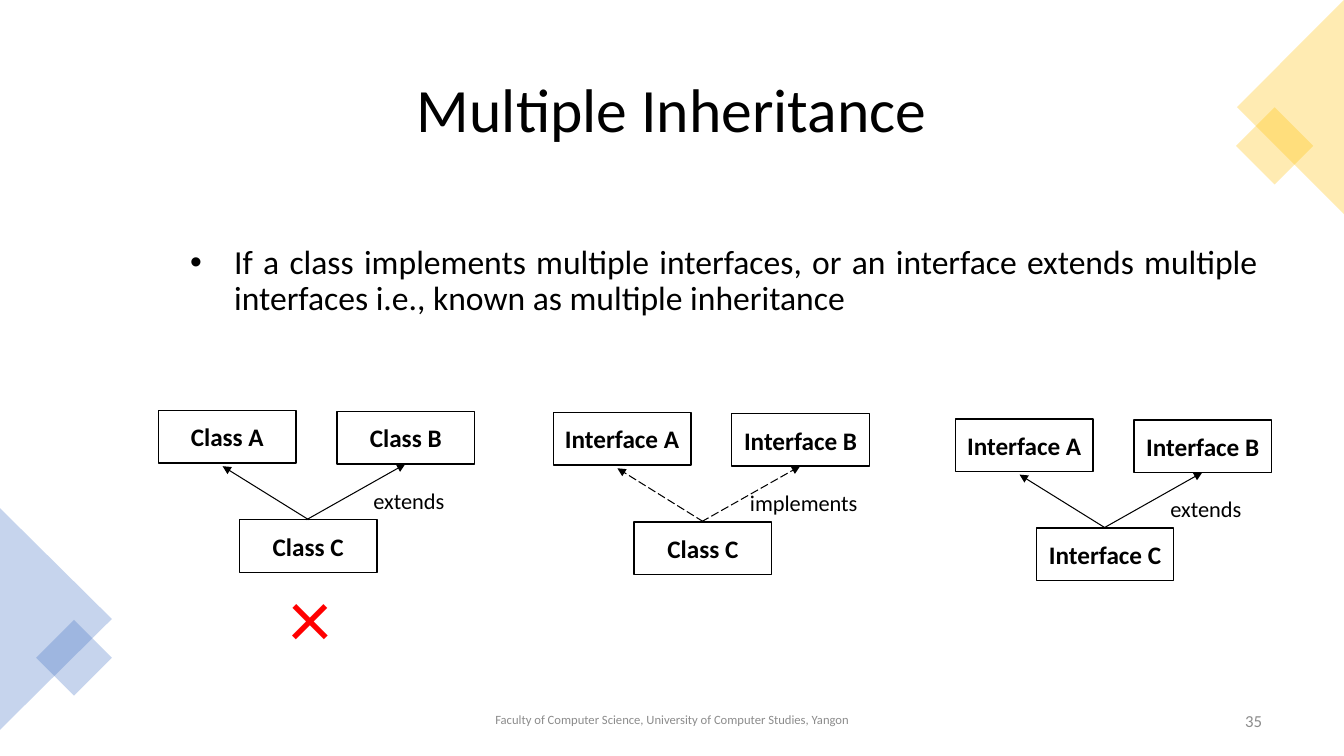
from lxml import etree
from pptx import Presentation
from pptx.dml.color import RGBColor
from pptx.enum.dml import MSO_LINE
from pptx.enum.shapes import MSO_CONNECTOR, MSO_SHAPE
from pptx.enum.text import MSO_ANCHOR, MSO_AUTO_SIZE, PP_ALIGN
from pptx.oxml.ns import qn
from pptx.util import Pt

TRIANGLE, RECTANGLE = MSO_SHAPE.ISOSCELES_TRIANGLE, MSO_SHAPE.RECTANGLE
LEFT, CENTER, RIGHT, JUSTIFY = PP_ALIGN.LEFT, PP_ALIGN.CENTER, PP_ALIGN.RIGHT, PP_ALIGN.JUSTIFY
TOP, MIDDLE = MSO_ANCHOR.TOP, MSO_ANCHOR.MIDDLE
SOLID, DASHED = MSO_LINE.SOLID, MSO_LINE.LONG_DASH

PX = 9525
FONT = "Calibri"
COLORS = {"ink": "000000", "muted": "8C8C8C", "cross": "FF0000",
          "blue": "4472C4", "yellow": "FFC000"}

TITLE = "Multiple Inheritance"
TITLE_AREA = (88, 38, 1104, 139)
CORNERS = [
    (TRIANGLE, (-53, 536, 212, 107), 90, "blue"),
    (RECTANGLE, (45, 601, 51, 51), 45, "blue"),
    (RECTANGLE, (1188, 113, 52, 52), 45, "yellow"),
    (TRIANGLE, (1127, 51, 204, 102), 270, "yellow"),
]
TEXTS = [
    ("If a class implements multiple interfaces, or an interface extends multiple "
     "interfaces i.e., known as multiple inheritance", (171, 229, 1037, 131),
     dict(size=24, align=JUSTIFY, spacing=0.9, bullet=True)),
    ("×", (266, 533, 70, 107), dict(size=60, color="cross")),
    ("Faculty of Computer Science, University of Computer Studies, Yangon",
     (424, 667, 432, 38),
     dict(size=9, color="muted", align=CENTER, anchor=MIDDLE, spacing=0.9)),
    ("35", (924, 667, 288, 38),
     dict(size=12, color="muted", align=RIGHT, anchor=MIDDLE)),
]
DIAGRAMS = [
    ((151, 391), ("Class A", "Class B", "Class C"), "extends", SOLID),
    ((527, 393), ("Interface A", "Interface B", "Class C"), "implements", DASHED),
    ((910, 399), ("Interface A", "Interface B", "Interface C"), "extends", SOLID),
]
NODE_SIZE = (131, 50)
NODE_OFFSETS = [(0, 0), (170, 1), (77, 104)]
RELATION_OFFSET, RELATION_SIZE = (174, 68), (129, 36)
ARROWS = [((143, 104), (61, 53)), ((141, 104), (235, 51))]
BULLET_INDENT = 42


def emu(lengths):
    return [length * PX for length in lengths]


def shifted(origin, offset):
    return origin[0] + offset[0], origin[1] + offset[1]


def rgb(name):
    return RGBColor.from_string(COLORS[name])


def write(shape, text, size=18, color="ink", bold=False, align=LEFT,
          anchor=TOP, spacing=None, bullet=False, side_margin=10):
    frame = shape.text_frame
    frame.word_wrap = True
    frame.auto_size = MSO_AUTO_SIZE.NONE
    frame.vertical_anchor = anchor
    frame.margin_left = frame.margin_right = side_margin * PX
    frame.text = text
    paragraph = frame.paragraphs[0]
    if bullet:
        properties = paragraph._p.get_or_add_pPr()
        properties.set("marL", str(BULLET_INDENT * PX))
        properties.set("indent", str(-BULLET_INDENT * PX))
        etree.SubElement(properties, qn("a:buFont"), typeface="Arial")
        etree.SubElement(properties, qn("a:buChar"), char="•")
    paragraph.alignment = align
    if spacing:
        paragraph.line_spacing = spacing
    font = paragraph.runs[0].font
    font.name, font.size, font.bold = FONT, Pt(size), bold
    font.color.rgb = rgb(color)


def add_text(slide, text, area, **style):
    write(slide.shapes.add_textbox(*emu(area)), text, **style)


def add_corner(slide, kind, area, rotation, color):
    corner = slide.shapes.add_shape(kind, *emu(area))
    corner.shadow.inherit = False
    corner.rotation = rotation
    corner.fill.solid()
    corner.fill.fore_color.rgb = rgb(color)
    tint = corner.fill._xPr.find(qn("a:solidFill"))[0]
    etree.SubElement(tint, qn("a:alpha"), val="30000")
    corner.line.fill.background()


def add_node(slide, text, position):
    node = slide.shapes.add_shape(RECTANGLE, *emu(position + NODE_SIZE))
    node.shadow.inherit = False
    node.fill.background()
    node.line.color.rgb = rgb("ink")
    node.line.width = Pt(1)
    write(node, text, bold=True, align=CENTER, anchor=MIDDLE, side_margin=0)


def add_arrow(slide, start, end, dash):
    arrow = slide.shapes.add_connector(MSO_CONNECTOR.STRAIGHT, *emu(start + end))
    arrow.line.color.rgb = rgb("ink")
    arrow.line.width = Pt(0.75)
    arrow.line.dash_style = dash
    etree.SubElement(arrow.line._get_or_add_ln(), qn("a:tailEnd"), type="triangle")
    etree.SubElement(arrow._element.spPr, qn("a:effectLst"))


def add_diagram(slide, origin, names, relation, dash):
    add_text(slide, relation, shifted(origin, RELATION_OFFSET) + RELATION_SIZE,
             size=16, align=CENTER)
    for name, offset in zip(names, NODE_OFFSETS):
        add_node(slide, name, shifted(origin, offset))
    for start, end in ARROWS:
        add_arrow(slide, shifted(origin, start), shifted(origin, end), dash)


def main():
    deck = Presentation()
    deck.slide_width, deck.slide_height = emu((1280, 720))
    slide = deck.slides.add_slide(deck.slide_layouts[5])
    title = slide.shapes.title
    title.left, title.top, title.width, title.height = emu(TITLE_AREA)
    write(title, TITLE, size=44, align=CENTER, anchor=MIDDLE, spacing=0.9)
    for corner in CORNERS:
        add_corner(slide, *corner)
    for text, area, style in TEXTS:
        add_text(slide, text, area, **style)
    for diagram in DIAGRAMS:
        add_diagram(slide, *diagram)
    deck.save("out.pptx")


if __name__ == "__main__":
    main()
